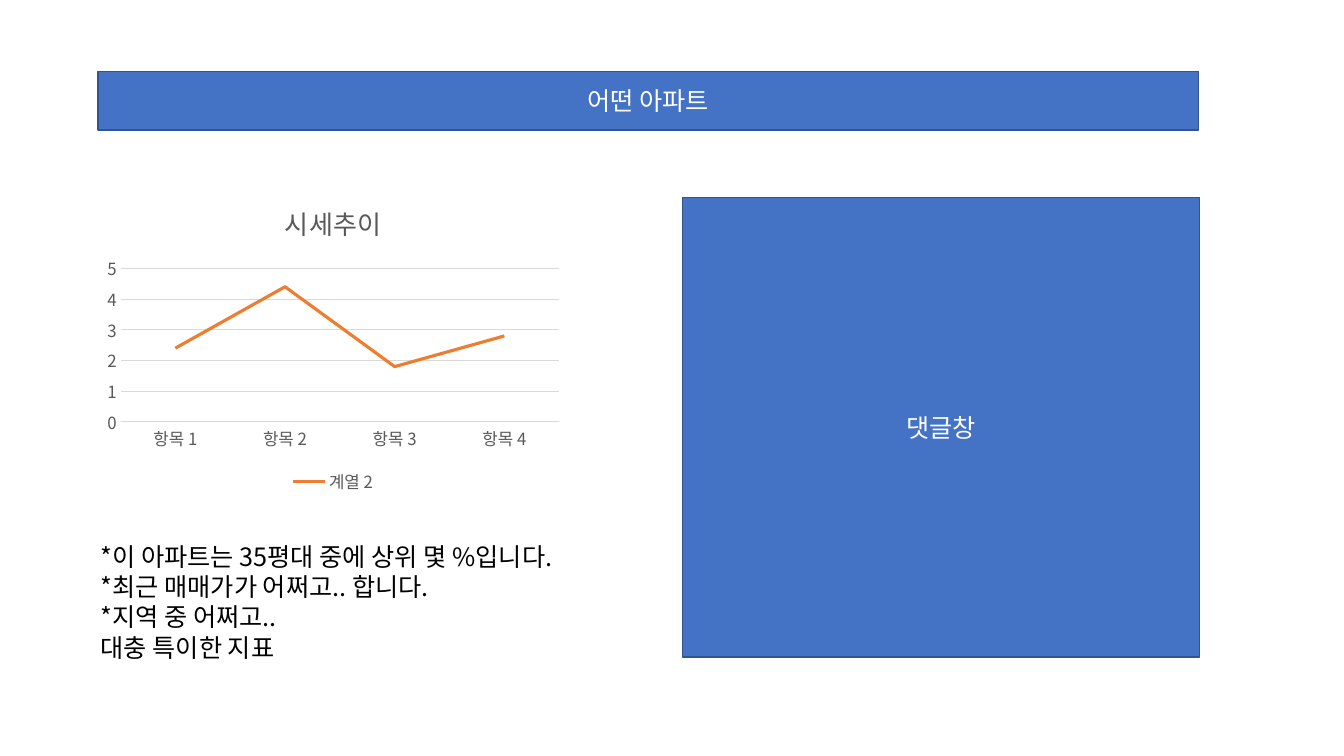
from lxml import etree
from pptx import Presentation
from pptx import util as u
from pptx.chart import data as chart_data
from pptx.dml.color import RGBColor
from pptx.enum import chart as charts, shapes, text
from pptx.oxml.ns import qn

BLUE = RGBColor(0x44, 0x72, 0xC4)
DARK_BLUE = RGBColor(0x32, 0x54, 0x91)
ORANGE = RGBColor(0xED, 0x7D, 0x31)
GRAY = RGBColor(0x59, 0x59, 0x59)
LIGHT_GRAY = RGBColor(0xD9, 0xD9, 0xD9)
WHITE = RGBColor(0xFF, 0xFF, 0xFF)
BLACK = RGBColor(0, 0, 0)
FONT = "Noto Sans CJK KR"


def style_font(font, size, color):
    font.name = FONT
    font.size = u.Pt(size)
    font.bold = False
    font.color.rgb = color


def write_text(frame, lines, size=18, color=BLACK, align=text.PP_ALIGN.LEFT):
    """Put one paragraph per line, with the font set for Korean glyphs too."""
    for index, line in enumerate(lines):
        para = frame.paragraphs[0] if index == 0 else frame.add_paragraph()
        para.alignment = align
        span = para.add_run()
        span.text = line
        style_font(span.font, size, color)
        latin = span.font._element.find(qn("a:latin"))
        east_asian = etree.Element(qn("a:ea"), typeface=FONT)
        latin.addnext(east_asian)


class ApartmentSlide:
    def __init__(self, deck):
        self.page = deck.slides.add_slide(deck.slide_layouts[6])

    def panel(self, left, top, width, height, label):
        box = self.page.shapes.add_shape(
            shapes.MSO_SHAPE.RECTANGLE, *map(u.Inches, (left, top, width, height)))
        box.shadow.inherit = False
        box.fill.solid()
        box.fill.fore_color.rgb = BLUE
        box.line.color.rgb = DARK_BLUE
        box.line.width = u.Pt(1)
        box.text_frame.vertical_anchor = text.MSO_ANCHOR.MIDDLE
        write_text(box.text_frame, [label], color=WHITE, align=text.PP_ALIGN.CENTER)

    def text_block(self, left, top, width, height, lines):
        box = self.page.shapes.add_textbox(*map(u.Inches, (left, top, width, height)))
        box.text_frame.word_wrap = False
        box.text_frame.auto_size = text.MSO_AUTO_SIZE.SHAPE_TO_FIT_TEXT
        write_text(box.text_frame, lines)

    def line_chart(self, left, top, width, height, title, categories, name, values):
        prices = chart_data.CategoryChartData()
        prices.categories = categories
        prices.add_series(name, values)
        chart = self.page.shapes.add_chart(
            charts.XL_CHART_TYPE.LINE_STACKED,
            *map(u.Inches, (left, top, width, height)), prices).chart
        style_font(chart.font, 12, GRAY)
        chart.has_title = True
        write_text(chart.chart_title.text_frame, [title], size=18.6, color=GRAY,
                   align=text.PP_ALIGN.CENTER)
        chart.chart_title.include_in_layout = False

        chart.has_legend = True
        chart.legend.position = charts.XL_LEGEND_POSITION.BOTTOM
        chart.legend.include_in_layout = False
        style_font(chart.legend.font, 12, GRAY)

        for axis in (chart.category_axis, chart.value_axis):
            axis.major_tick_mark = axis.minor_tick_mark = charts.XL_TICK_MARK.NONE
            style_font(axis.tick_labels.font, 12, GRAY)
        chart.value_axis.format.line.fill.background()
        chart.value_axis.minimum_scale = 0
        chart.value_axis.maximum_scale = 5
        chart.value_axis.major_unit = 1
        for rule in (chart.category_axis, chart.value_axis.major_gridlines):
            rule.format.line.color.rgb = LIGHT_GRAY
            rule.format.line.width = u.Pt(0.75)

        plot = chart.plots[0]
        plot.vary_by_categories = False
        series = plot.series[0]
        series.smooth = False
        series.marker.style = charts.XL_MARKER_STYLE.NONE
        series.format.line.color.rgb = ORANGE
        series.format.line.width = u.Pt(2.25)


def main():
    deck = Presentation()
    deck.slide_width = u.Inches(13.33)
    deck.slide_height = u.Inches(7.5)
    slide = ApartmentSlide(deck)
    slide.panel(0.97, 0.71, 10.92, 0.58, "어떤 아파트")
    slide.line_chart(0.97, 1.83, 4.67, 3.11, "시세추이",
                     [f"항목 {number}" for number in range(1, 5)],
                     "계열 2", (2.4, 4.4, 1.8, 2.8))
    slide.text_block(0.9, 5.32, 5.18, 1.31, [
        "*이 아파트는 35평대 중에 상위 몇 %입니다.",
        "*최근 매매가가 어쩌고.. 합니다.",
        "*지역 중 어쩌고..",
        "대충 특이한 지표",
    ])
    slide.panel(6.77, 1.96, 5.13, 4.56, "댓글창")
    deck.save("out.pptx")


if __name__ == "__main__":
    main()
